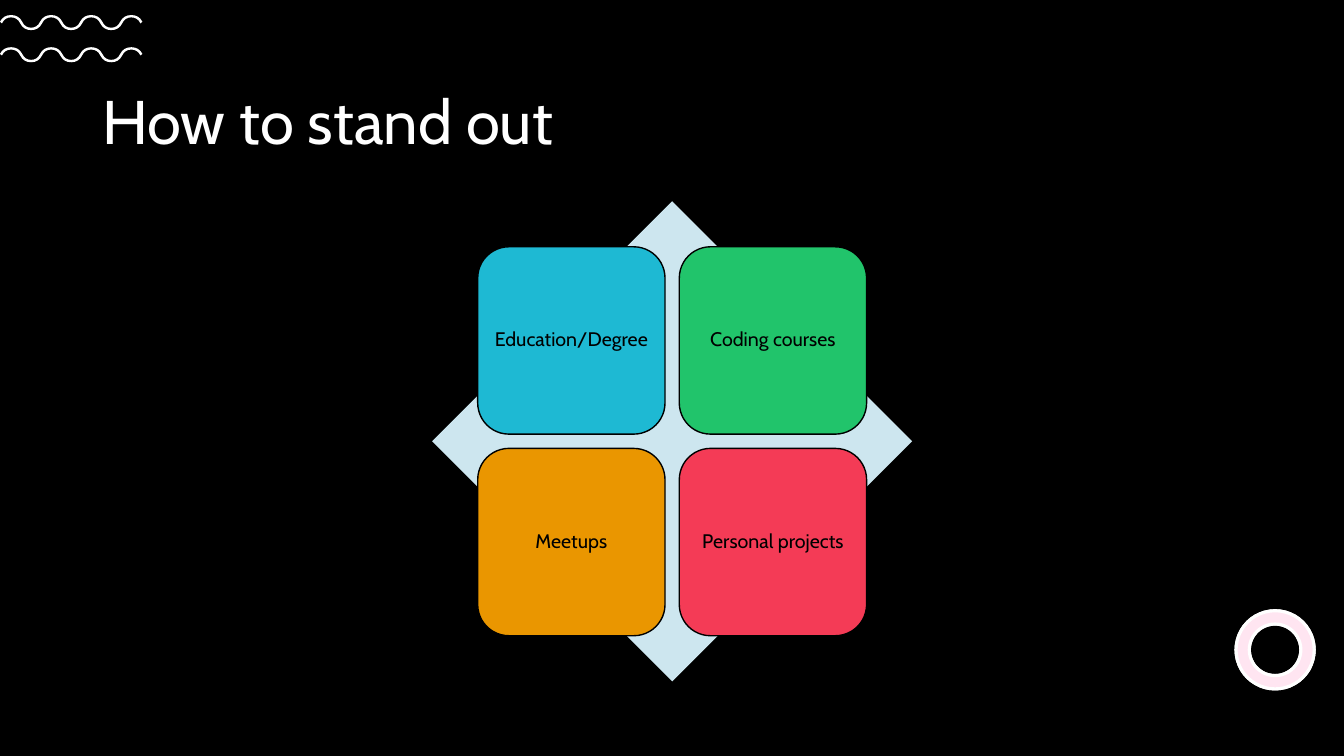
from dataclasses import dataclass
from typing import NamedTuple

from lxml import etree
from pptx import Presentation
from pptx.dml.color import RGBColor
from pptx.enum.shapes import MSO_SHAPE
from pptx.enum.text import MSO_ANCHOR, PP_ALIGN
from pptx.oxml.ns import qn
from pptx.shapes.autoshape import Shape
from pptx.slide import Slide
from pptx.text.text import TextFrame
from pptx.util import Cm, Pt

RECT = MSO_SHAPE.RECTANGLE
ROUND = MSO_SHAPE.ROUNDED_RECTANGLE
DIAMOND = MSO_SHAPE.DIAMOND
DONUT = MSO_SHAPE.DONUT
MIDDLE = MSO_ANCHOR.MIDDLE
LEFT = PP_ALIGN.LEFT
CENTER = PP_ALIGN.CENTER

BLACK = RGBColor(0x00, 0x00, 0x00)
WHITE = RGBColor(0xFF, 0xFF, 0xFF)
PINK = RGBColor(0xFF, 0x80, 0xBD)
PALE = RGBColor(0xCD, 0xE6, 0xEF)
BLUE = RGBColor(0x1E, 0xB9, 0xD3)
GREEN = RGBColor(0x21, 0xC4, 0x6B)
AMBER = RGBColor(0xEA, 0x96, 0x00)
RED = RGBColor(0xF4, 0x3B, 0x56)

FONT = "Cabin"
WIDTH, HEIGHT = 33.87, 19.05


class Point(NamedTuple):
    x: float
    y: float


@dataclass(frozen=True)
class Box:
    left: float
    top: float
    width: float
    height: float


@dataclass(frozen=True)
class Tile:
    label: str
    color: RGBColor


@dataclass(frozen=True)
class Edge:
    """One side of a wave, with heights measured from its middle."""
    reach: float
    cross: float
    crest: float
    trough: float


TILES = [
    Tile("Education/Degree", BLUE),
    Tile("Coding courses", GREEN),
    Tile("Meetups", AMBER),
    Tile("Personal projects", RED),
]
TILE_SIZE, TILE_STEP = 4.72, 5.08
GRID_LEFT, GRID_TOP = 12.04, 6.22

RING = Box(31.15, 15.39, 1.97, 1.97)

WAVE_MIDS = [1.38, 0.57]
CRESTS, FIRST, PERIOD = 4, 0.28, 1.01
UPPER = Edge(0.28, -0.02, -0.19, 0.13)
LOWER = Edge(0.23, 0.02, -0.13, 0.19)


def paint(shape: Shape, color: RGBColor) -> None:
    """Give a flat fill with no shadow and no line."""
    shape.shadow.inherit = False
    shape.fill.solid()
    shape.fill.fore_color.rgb = color
    shape.line.fill.background()


def outline(shape: Shape, color: RGBColor, width: float) -> None:
    shape.line.color.rgb = color
    shape.line.width = Pt(width)


def add_box(slide: Slide, kind: MSO_SHAPE, box: Box, color: RGBColor) -> Shape:
    shape = slide.shapes.add_shape(
        kind, Cm(box.left), Cm(box.top), Cm(box.width), Cm(box.height))
    paint(shape, color)
    return shape


def write(frame: TextFrame, text: str, size: float, color: RGBColor,
          align: PP_ALIGN) -> None:
    frame.text = text
    frame.word_wrap = True
    frame.vertical_anchor = MIDDLE
    line = frame.paragraphs[0]
    line.alignment = align
    line.line_spacing = 0.9
    font = line.runs[0].font
    font.name = FONT
    font.size = Pt(size)
    font.color.rgb = color


def add_title(slide: Slide) -> None:
    box = slide.shapes.add_textbox(Cm(2.33), Cm(1.58), Cm(29.21), Cm(3.13))
    write(box.text_frame, "How to stand out", 44, WHITE, LEFT)


def get_nodes(edge: Edge, mid: float) -> list[Point]:
    """List crossings and extremes in turn, from left to right."""
    nodes = []
    for place in range(CRESTS):
        x = FIRST + place * PERIOD
        nodes += [Point(x - edge.reach, mid + edge.cross),
                  Point(x, mid + edge.crest),
                  Point(x + edge.reach, mid + edge.cross),
                  Point(x + PERIOD / 2, mid + edge.trough)]
    return nodes[:-1]


def bend(nodes: list[Point]) -> list[Point]:
    """Put two control points before every node but the first."""
    points = [nodes[0]]
    for place, (a, b) in enumerate(zip(nodes, nodes[1:])):
        wide, high = b.x - a.x, b.y - a.y
        rates = [(0.45, 0), (0.8, 0.33)] if place % 2 else [(0.2, 0.67), (0.55, 1)]
        points += [Point(a.x + u * wide, a.y + v * high) for u, v in rates]
        points.append(b)
    return points


def add_wave(slide: Slide, mid: float) -> None:
    upper = bend(get_nodes(UPPER, mid))
    lower = bend(get_nodes(LOWER, mid)[::-1])
    points = [(Cm(p.x), Cm(p.y)) for p in upper + lower]
    path = slide.shapes.build_freeform(*points[0])
    path.add_line_segments(points[1:], close=True)
    wave = path.convert_to_shape()
    paint(wave, WHITE)

    lines = list(wave.element.iter(qn("a:lnTo")))
    del lines[len(upper) - 1]
    for start in range(0, len(lines), 3):
        trio = lines[start:start + 3]
        curve = etree.Element(qn("a:cubicBezTo"))
        trio[0].addprevious(curve)
        for line in trio:
            curve.append(line[0])
            line.getparent().remove(line)


def add_ring(slide: Slide, color: RGBColor) -> Shape:
    ring = add_box(slide, DONUT, RING, color)
    ring.adjustments[0] = 0.17
    outline(ring, WHITE, 2.25)
    return ring


def fade(shape: Shape, share: int) -> None:
    """Set the opacity of the fill in percent."""
    tint = shape.element.spPr.find(qn("a:solidFill")).find(qn("a:srgbClr"))
    etree.SubElement(tint, qn("a:alpha")).set("val", str(share * 1000))


def add_tile(slide: Slide, place: int, tile: Tile) -> None:
    row, col = divmod(place, 2)
    box = Box(GRID_LEFT + col * TILE_STEP, GRID_TOP + row * TILE_STEP,
              TILE_SIZE, TILE_SIZE)
    shape = add_box(slide, ROUND, box, tile.color)
    outline(shape, BLACK, 1)
    frame = shape.text_frame
    frame.margin_left = frame.margin_right = Cm(0.15)
    frame.margin_top = frame.margin_bottom = Cm(0.15)
    write(frame, tile.label, 14, BLACK, CENTER)


def main() -> None:
    deck = Presentation()
    deck.slide_width, deck.slide_height = Cm(WIDTH), Cm(HEIGHT)
    slide = deck.slides.add_slide(deck.slide_layouts[6])
    slide.background.fill.solid()
    slide.background.fill.fore_color.rgb = BLACK

    add_box(slide, RECT, Box(0, 0, WIDTH, HEIGHT), BLACK)
    add_title(slide)
    for mid in WAVE_MIDS:
        add_wave(slide, mid)
    add_ring(slide, WHITE)
    fade(add_ring(slide, PINK), 20)
    add_box(slide, DIAMOND, Box(10.89, 5.07, 12.1, 12.1), PALE)
    for place, tile in enumerate(TILES):
        add_tile(slide, place, tile)

    deck.save("out.pptx")


if __name__ == "__main__":
    main()
